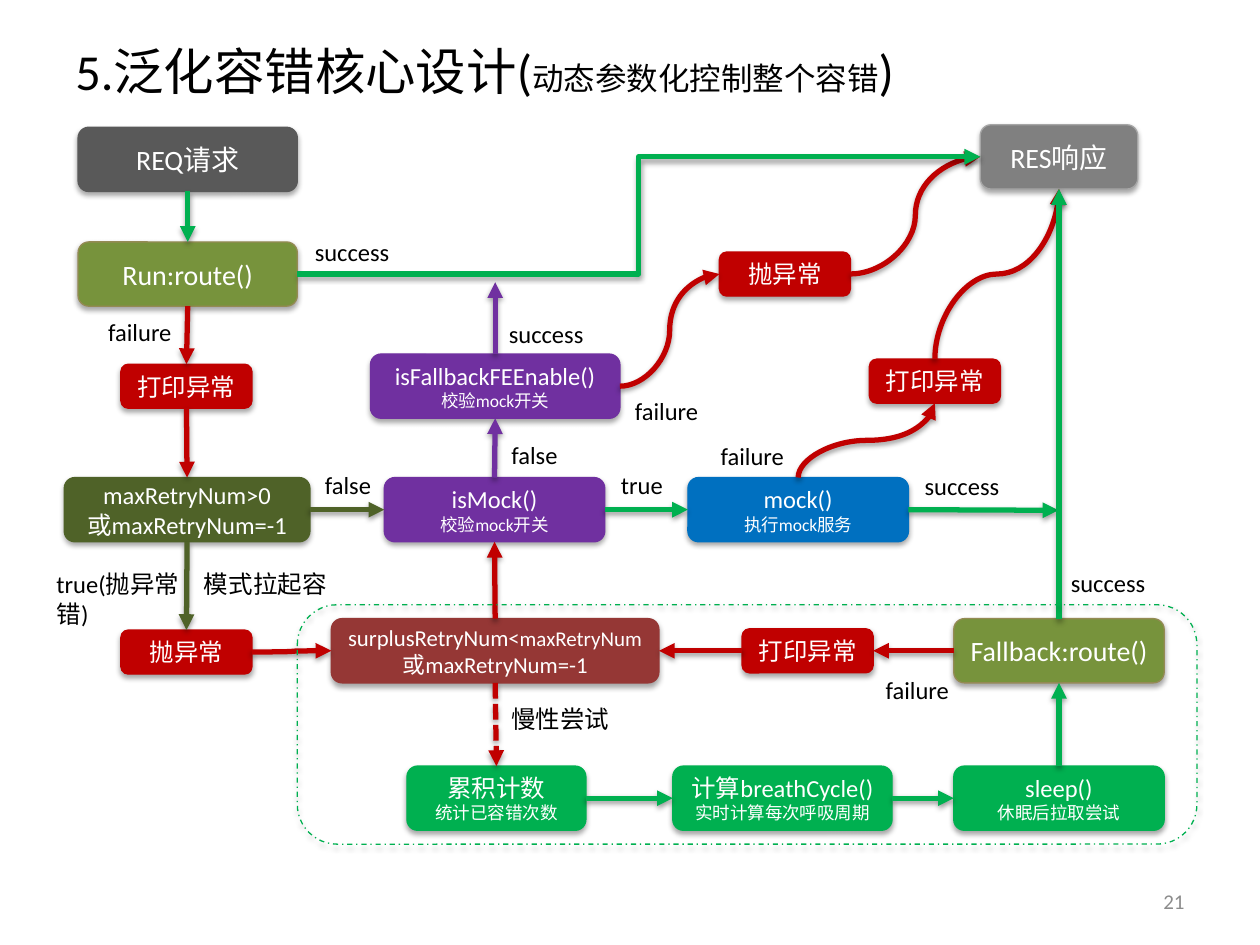
from lxml.etree import SubElement
from pptx import Presentation
from pptx.dml.color import RGBColor
from pptx.enum.dml import MSO_LINE_DASH_STYLE as Dash
from pptx.enum.shapes import MSO_CONNECTOR as Connector, MSO_SHAPE as Shape
from pptx.enum.text import MSO_ANCHOR as Anchor, PP_ALIGN as Align
from pptx.oxml.ns import qn
from pptx.util import Inches, Pt

COLORS = {
    "black": "000000", "white": "FFFFFF", "page": "8C8C8C", "request": "595959",
    "response": "808080", "response_edge": "A6A6A6", "route": "77933C",
    "route_edge": "948A54", "olive": "4F6228", "purple": "7030A0", "blue": "0070C0",
    "red": "C00000", "brick": "953735", "green": "00B050",
}
LABEL_WIDTHS = {"success": 0.8, "failure": 0.71, "false": 0.57, "true": 0.54, "慢性尝试": 0.99}
ROW = 0.51


def color(name):
    """Return the named colour."""
    return RGBColor.from_string(COLORS[name])


def anchor(shape, side):
    """Return the middle point of one side of a shape."""
    middle, center = shape.top + shape.height // 2, shape.left + shape.width // 2
    return {
        "top": (center, shape.top), "bottom": (center, shape.top + shape.height),
        "left": (shape.left, middle), "right": (shape.left + shape.width, middle),
    }[side]


class FlowSlide:
    """Style and drawing methods for the flow chart slide."""

    latin, asian = "Calibri", "Noto Sans CJK SC"

    def __init__(self, slide):
        self.slide = slide

    def fill_text(self, frame, lines, ink, align=Align.LEFT):
        """Fill a frame with lines, each a list of (text, size) runs."""
        for index, runs in enumerate(lines):
            paragraph = frame.add_paragraph() if index else frame.paragraphs[0]
            paragraph.alignment = align
            for text, size in runs:
                run = paragraph.add_run()
                run.text = text
                run.font.size = Pt(size)
                run.font.name = self.latin
                run.font.color.rgb = color(ink)
                SubElement(run.font._element, qn("a:ea"), typeface=self.asian)

    def shadow(self, effects, distance, opacity):
        """Add a soft downward shadow to an effect list."""
        outer = SubElement(effects, qn("a:outerShdw"), blurRad=str(Pt(3.1)),
                           dist=str(Pt(distance)), dir="5400000", rotWithShape="0")
        black = SubElement(outer, qn("a:srgbClr"), val=COLORS["black"])
        SubElement(black, qn("a:alpha"), val=str(opacity * 1000))

    def text(self, left, top, width, height, runs, ink="black", align=Align.LEFT,
             middle=False, wrap=True):
        """Add a one-paragraph text box."""
        box = self.slide.shapes.add_textbox(*map(Inches, (left, top, width, height)))
        frame = box.text_frame
        frame.word_wrap = wrap
        frame.vertical_anchor = Anchor.MIDDLE if middle else Anchor.TOP
        self.fill_text(frame, [runs], ink, align)

    def label(self, left, top, text):
        """Add a branch label."""
        self.text(left, top, LABEL_WIDTHS[text], 0.34, [(text, 14)], wrap=False)

    def box(self, left, top, width, height, lines=(), fill=None, edge=None, dash=None):
        """Add a rounded box with centred text."""
        shape = self.slide.shapes.add_shape(
            Shape.ROUNDED_RECTANGLE, *map(Inches, (left, top, width, height)))
        if fill:
            shape.fill.solid()
            shape.fill.fore_color.rgb = color(fill)
        else:
            shape.fill.background()
        shape.line.color.rgb = color(edge or fill)
        shape.line.width = Pt(0.75)
        if dash:
            shape.line.dash_style = dash
        shape.shadow.inherit = False
        self.shadow(shape._element.spPr.find(qn("a:effectLst")), 1.8, 35)
        shape.text_frame.vertical_anchor = Anchor.MIDDLE
        self.fill_text(shape.text_frame, lines, "white", Align.CENTER)
        return shape

    def step(self, left, top, width, title, detail, fill):
        """Add a box with a title and a small detail line."""
        return self.box(left, top, width, ROW, [[(title, 14)], [(detail, 10)]], fill)

    def error(self, left, top, text):
        """Add a small red error box."""
        return self.box(left, top, 1.04, 0.35, [[(text, 14)]], "red")

    def arrow(self, start, end, ink, kind=Connector.STRAIGHT, upright=False, dash=None):
        """Add an arrow; an upright curve leaves and arrives vertically."""
        if upright:
            (x1, y1), (x2, y2) = start, end
            center_x, center_y = (x1 + x2) // 2, (y1 + y2) // 2
            half_x, half_y = (x2 - x1) // 2, (y2 - y1) // 2
            start = center_x - half_y, center_y + half_x
            end = center_x + half_y, center_y - half_x
        connector = self.slide.shapes.add_connector(kind, *start, *end)
        properties = connector._element.spPr
        if upright:
            properties.find(qn("a:xfrm")).set("rot", "5400000")
        connector.line.color.rgb = color(ink)
        connector.line.width = Pt(3)
        if dash:
            connector.line.dash_style = dash
        SubElement(properties.find(qn("a:ln")), qn("a:tailEnd"), type="triangle")
        self.shadow(SubElement(properties, qn("a:effectLst")), 1.6, 38)


def main():
    """Build the fault tolerance slide."""
    presentation = Presentation()
    presentation.slide_width, presentation.slide_height = Inches(10), Inches(7.5)
    flow = FlowSlide(presentation.slides.add_slide(presentation.slide_layouts[6]))

    flow.text(0.5, 0.3, 9, ROW, [("5.泛化容错核心设计(", 28.8),
              ("动态参数化控制整个容错", 18), (")", 28.8)], middle=True)
    flow.text(7.17, 6.95, 2.33, 0.4, [("21", 12)], "page", Align.RIGHT, middle=True)

    request = flow.box(0.62, 1.01, 1.74, ROW, [[("REQ请求", 16)]], "request")
    response = flow.box(7.78, 0.99, 1.25, ROW, [[("RES响应", 16)]], "response", "response_edge")
    route = flow.box(0.62, 1.92, 1.74, ROW, [[("Run:route()", 16)]], "route", "route_edge")
    fallback = flow.box(7.57, 4.91, 1.67, ROW, [[("Fallback:route()", 16)]],
                        "route", "route_edge")
    retry = flow.box(0.51, 3.79, 1.95, ROW,
                     [[("maxRetryNum>0", 14)], [("或maxRetryNum=-1", 14)]], "olive")
    surplus = flow.box(2.63, 4.91, 2.6, ROW,
                       [[("surplusRetryNum<", 13), ("maxRetryNum", 12)],
                        [("或maxRetryNum=-1", 13)]], "brick")
    is_mock = flow.step(3.05, 3.79, 1.75, "isMock()", "校验mock开关", "purple")
    mock = flow.step(5.46, 3.79, 1.75, "mock()", "执行mock服务", "blue")
    switch = flow.step(2.94, 2.81, 1.98, "isFallbackFEEnable()", "校验mock开关", "purple")
    count = flow.step(3.23, 6.08, 1.42, "累积计数", "统计已容错次数", "green")
    breath = flow.step(5.34, 6.08, 1.74, "计算breathCycle()", "实时计算每次呼吸周期", "green")
    sleep = flow.step(7.57, 6.08, 1.67, "sleep()", "休眠后拉取尝试", "green")
    route_log = flow.error(0.96, 2.89, "打印异常")
    mock_log = flow.error(6.9, 2.85, "打印异常")
    fallback_log = flow.error(5.89, 4.99, "打印异常")
    retry_throw = flow.error(0.96, 5, "抛异常")
    switch_throw = flow.error(5.71, 2, "抛异常")

    for source, source_side, target, target_side, ink in (
        (request, "bottom", route, "top", "green"),
        (route, "bottom", route_log, "top", "red"),
        (route_log, "bottom", retry, "top", "red"),
        (retry, "bottom", retry_throw, "top", "olive"),
        (retry, "right", is_mock, "left", "olive"),
        (is_mock, "right", mock, "left", "green"),
        (is_mock, "top", switch, "bottom", "purple"),
        (surplus, "top", is_mock, "bottom", "red"),
        (fallback, "left", fallback_log, "right", "red"),
        (fallback_log, "left", surplus, "right", "red"),
        (count, "right", breath, "left", "green"),
        (breath, "right", sleep, "left", "green"),
        (sleep, "top", fallback, "bottom", "green"),
    ):
        flow.arrow(anchor(source, source_side), anchor(target, target_side), ink)

    flow.arrow(anchor(mock, "right"), (Inches(8.4), Inches(4.05)), "green")
    flow.arrow(anchor(switch, "top"), (Inches(3.93), Inches(2.24)), "purple")
    flow.arrow(anchor(surplus, "bottom"), anchor(count, "top"), "red", dash=Dash.SQUARE_DOT)

    for source, source_side, target, target_side, upright in (
        (mock, "top", mock_log, "bottom", True),
        (mock_log, "top", response, "bottom", True),
        (retry_throw, "right", surplus, "left", False),
        (switch, "right", switch_throw, "left", False),
        (switch_throw, "right", response, "left", False),
    ):
        flow.arrow(anchor(source, source_side), anchor(target, target_side), "red",
                   Connector.CURVE, upright)
    flow.arrow(anchor(fallback, "top"), anchor(response, "bottom"), "green")
    flow.arrow(anchor(route, "right"), anchor(response, "left"), "green", Connector.ELBOW)

    for left, top, text in (
        (2.4, 1.83, "success"), (3.94, 2.48, "success"), (7.24, 3.69, "success"),
        (8.4, 4.46, "success"), (0.76, 2.47, "failure"), (4.94, 3.09, "failure"),
        (5.62, 3.45, "failure"), (6.93, 5.31, "failure"), (2.48, 3.68, "false"),
        (3.96, 3.44, "false"), (4.83, 3.68, "true"), (3.96, 5.54, "慢性尝试"),
    ):
        flow.label(left, top, text)
    flow.text(0.35, 4.47, 2.56, 0.34, [("true(抛异常　模式拉起容错)", 14)])
    flow.box(2.36, 4.8, 7.14, 1.9, edge="green", dash=Dash.DASH_DOT)
    presentation.save("out.pptx")


if __name__ == "__main__":
    main()
